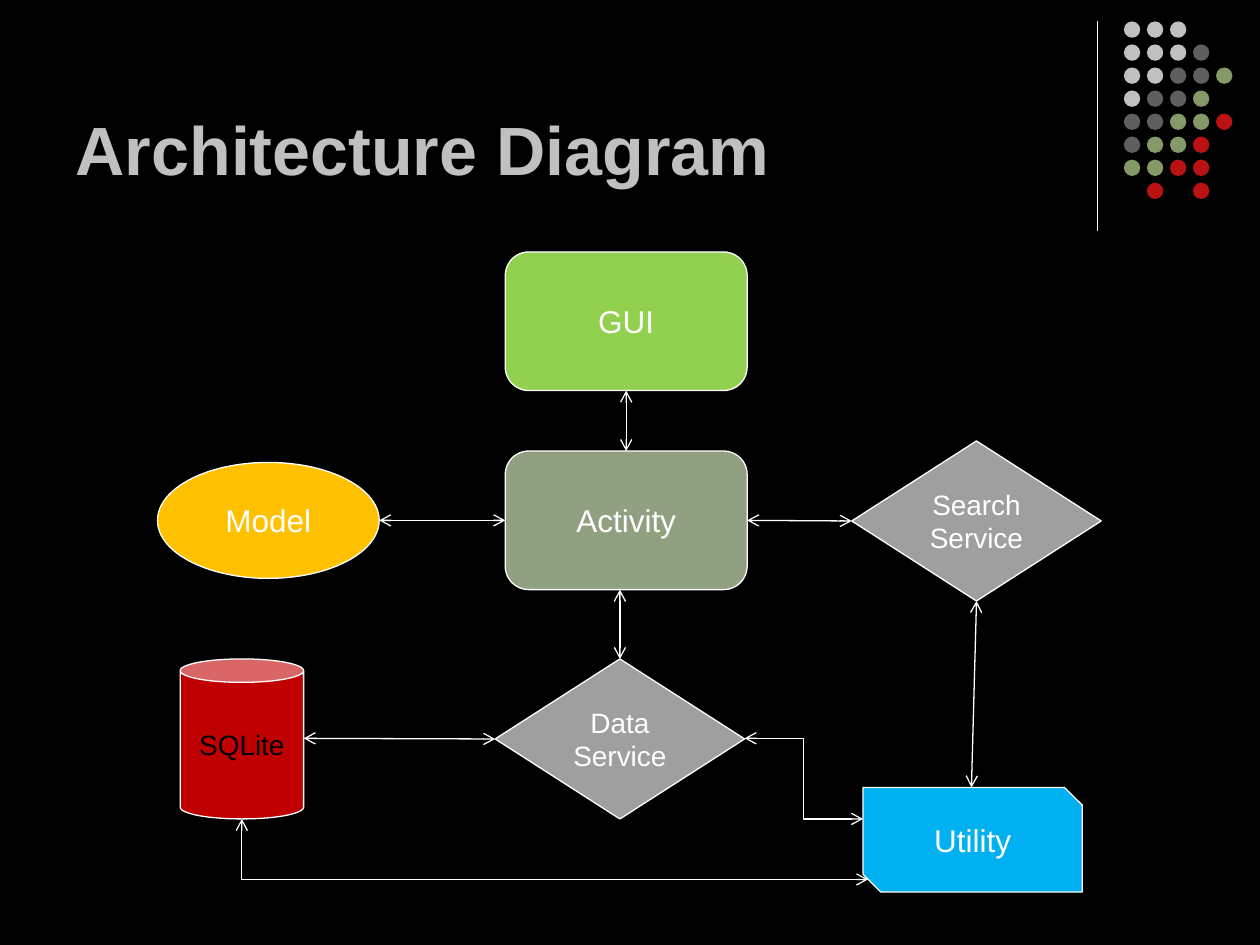
from lxml.etree import SubElement
from pptx import Presentation
from pptx.dml.color import RGBColor
from pptx.enum.shapes import MSO_CONNECTOR, MSO_SHAPE
from pptx.enum.text import MSO_ANCHOR, MSO_AUTO_SIZE, PP_ALIGN
from pptx.oxml.ns import qn
from pptx.util import Inches, Pt

COLORS = {
    "black": "000000", "white": "FFFFFF", "silver": "C0C0C0",
    "dark_gray": "5F5F5F", "olive": "859868", "dot_red": "BA1212",
    "green": "92D050", "sage": "92A082", "amber": "FFC000",
    "blue": "00B0F0", "gray": "9F9F9F", "red": "C00000",
}
RGB = {name: RGBColor.from_string(value) for name, value in COLORS.items()}


def set_text(sp, text, size=18, color="white", bold=False,
             align=PP_ALIGN.CENTER, anchor=MSO_ANCHOR.MIDDLE):
    tf = sp.text_frame
    tf.word_wrap = True
    tf.auto_size = MSO_AUTO_SIZE.NONE
    tf.vertical_anchor = anchor
    p = tf.paragraphs[0]
    p.alignment = align
    r = p.add_run()
    r.text = text
    r.font.name = "Arial"
    r.font.size = Pt(size)
    r.font.bold = bold
    r.font.color.rgb = RGB[color]


def add_line(start, end, kind=MSO_CONNECTOR.STRAIGHT, arrows=True):
    """Draw a thin white connector, with open arrowheads at both ends by default."""
    cxn = s.shapes.add_connector(kind, *map(Inches, start + end))
    cxn.line.color.rgb = RGB["white"]
    cxn.line.width = Pt(0.75)
    if arrows:
        ln = cxn.line._get_or_add_ln()
        for tag in ("a:headEnd", "a:tailEnd"):
            SubElement(ln, qn(tag), type="arrow")
    SubElement(cxn._element.spPr, qn("a:effectLst"))
    return cxn


prs = Presentation()
prs.slide_width, prs.slide_height = Inches(10), Inches(7.5)
s = prs.slides.add_slide(prs.slide_layouts[5])
s.background.fill.solid()
s.background.fill.fore_color.rgb = RGB["black"]

# Corner decoration
add_line((8.71, 0.17), (8.71, 1.83), arrows=False)
dot_colors = {"s": "silver", "d": "dark_gray", "o": "olive", "r": "dot_red"}
dot_rows = ["sss", "sssd", "ssddo", "sddo", "ddoor", "door", "oorr", " r r"]
pitch = 1.28 / 7
for row, dots in enumerate(dot_rows):
    for col, dot in enumerate(dots):
        if dot == " ":
            continue
        sp = s.shapes.add_shape(
            MSO_SHAPE.OVAL, Inches(8.92 + col * pitch), Inches(0.17 + row * pitch),
            Inches(0.13), Inches(0.13))
        sp.shadow.inherit = False
        sp.fill.solid()
        sp.fill.fore_color.rgb = RGB[dot_colors[dot]]
        sp.line.fill.background()

title = s.shapes.title
title.left, title.top = Inches(0.5), Inches(0.13)
title.width, title.height = Inches(8.25), Inches(1.42)
set_text(title, "Architecture Diagram", size=39, color="silver", bold=True,
         align=PP_ALIGN.LEFT, anchor=MSO_ANCHOR.BOTTOM)

# Components: text, shape, adjustments, box, fill, text size, text color
components = [
    ("GUI", MSO_SHAPE.ROUNDED_RECTANGLE, [0.17], (4.01, 2, 1.92, 1.1), "green", 18, "white"),
    ("Activity", MSO_SHAPE.ROUNDED_RECTANGLE, [0.17], (4.01, 3.58, 1.92, 1.1), "sage", 18, "white"),
    ("Model", MSO_SHAPE.OVAL, [], (1.25, 3.67, 1.76, 0.92), "amber", 18, "white"),
    ("Utility", MSO_SHAPE.SNIP_2_DIAG_RECTANGLE, [0, 0.17], (6.85, 6.25, 1.74, 0.83), "blue", 18, "white"),
    ("Data Service", MSO_SHAPE.DIAMOND, [], (3.93, 5.23, 1.98, 1.27), "gray", 16, "white"),
    ("Search Service", MSO_SHAPE.DIAMOND, [], (6.76, 3.5, 1.98, 1.27), "gray", 16, "white"),
    ("SQLite", MSO_SHAPE.CAN, [0.19], (1.43, 5.23, 0.98, 1.27), "red", 16, "black"),
]
nodes = {}
for text, shape, adjustments, box, fill, size, color in components:
    sp = s.shapes.add_shape(shape, *map(Inches, box))
    for i, value in enumerate(adjustments):
        sp.adjustments[i] = value
    sp.shadow.inherit = False
    sp.fill.solid()
    sp.fill.fore_color.rgb = RGB[fill]
    sp.line.color.rgb = RGB["white"]
    sp.line.width = Pt(0.75)
    set_text(sp, text, size=size, color=color)
    nodes[text] = sp

# Straight links: start, end, joined start (node, side), joined end (node, side)
TOP, LEFT, BOTTOM, RIGHT = range(4)
links = [
    ((4.97, 3.1), (4.97, 3.58), ("GUI", BOTTOM), ("Activity", TOP)),
    ((3.01, 4.13), (4.01, 4.13), None, ("Activity", LEFT)),
    ((5.93, 4.13), (6.76, 4.14), ("Activity", RIGHT), ("Search Service", LEFT)),
    ((4.92, 4.68), (4.92, 5.23), None, ("Data Service", TOP)),
    ((7.75, 4.77), (7.71, 6.25), ("Search Service", BOTTOM), None),
    ((2.41, 5.86), (3.93, 5.87), None, ("Data Service", LEFT)),
]
for start, end, joined_start, joined_end in links:
    cxn = add_line(start, end)
    if joined_start:
        cxn.begin_connect(nodes[joined_start[0]], joined_start[1])
    if joined_end:
        cxn.end_connect(nodes[joined_end[0]], joined_end[1])

# Bent links to Utility
add_line((5.91, 5.86), (6.85, 6.5), MSO_CONNECTOR.ELBOW)
sqlite_link = add_line((6.89, 6.98), (1.92, 6.5), MSO_CONNECTOR.ELBOW)
sqlite_link._element.spPr.find(qn("a:prstGeom")).set("prst", "bentConnector2")

prs.save("out.pptx")
